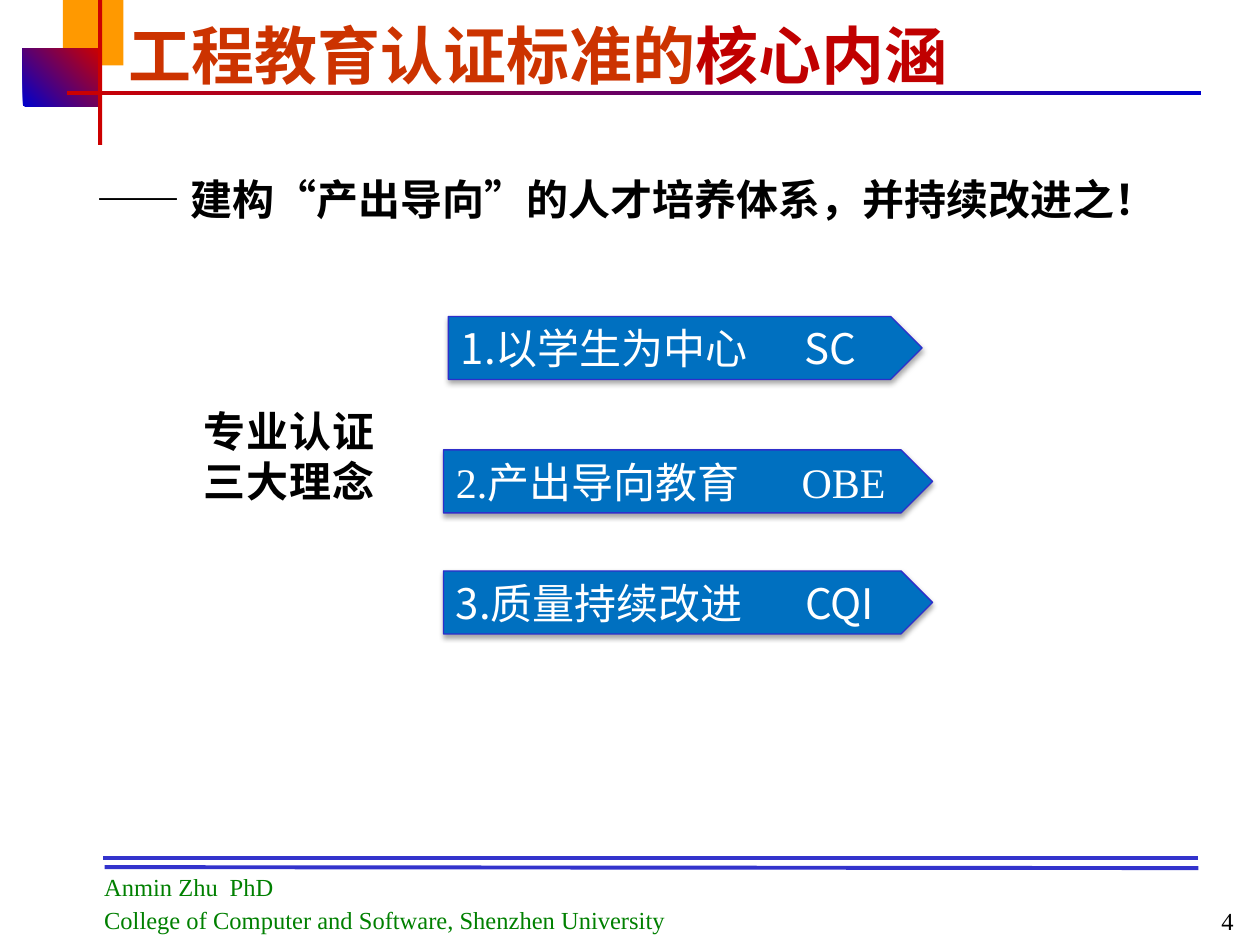
import lxml.etree
import pptx
import pptx.dml.color
import pptx.enum.shapes
import pptx.enum.text
import pptx.oxml.ns
import pptx.util

Cm = pptx.util.Cm
SHAPES = pptx.enum.shapes.MSO_SHAPE
ANCHOR = pptx.enum.text.MSO_ANCHOR
ALIGN = pptx.enum.text.PP_ALIGN
GROW = pptx.enum.text.MSO_AUTO_SIZE.SHAPE_TO_FIT_TEXT
CHINESE = "Noto Sans CJK SC"
SERIF = "Times New Roman"


def color(value):
    return pptx.dml.color.RGBColor.from_string(value)


def add_element(parent, tag, **attributes):
    element = lxml.etree.SubElement(parent, pptx.oxml.ns.qn(tag))
    for name, value in attributes.items():
        element.set(name, str(value))
    return element


def apply(target, formats):
    for name, value in formats.items():
        setattr(target, name, value)


def write(shape, paragraphs, size, font, frame_format, paragraph_format=None,
          bold=False, tab=None, spacing=None):
    frame = shape.text_frame
    apply(frame, {"word_wrap": True, **frame_format})
    for index, runs in enumerate(paragraphs):
        paragraph = frame.paragraphs[0] if index == 0 else frame.add_paragraph()
        if tab:
            tabs = add_element(paragraph._p.get_or_add_pPr(), "a:tabLst")
            add_element(tabs, "a:tab", pos=Cm(tab), algn="l")
        apply(paragraph, {"alignment": ALIGN.LEFT, **(paragraph_format or {})})
        for text, ink in runs:
            run = paragraph.add_run()
            run.text = text
            apply(run.font, {"size": pptx.util.Pt(size), "name": font, "bold": bold})
            run.font.color.rgb = color(ink)
            properties = run._r.get_or_add_rPr()
            add_element(properties, "a:ea", typeface=CHINESE)
            if spacing:
                properties.set("spc", str(spacing))


def add_text(slide, left, top, width, height, *content, **options):
    box = slide.shapes.add_textbox(Cm(left), Cm(top), Cm(width), Cm(height))
    write(box, *content, **options)


def add_block(slide, kind, left, top, width, height, fills, angle=0):
    shape = slide.shapes.add_shape(kind, Cm(left), Cm(top), Cm(width), Cm(height))
    shape.shadow.inherit = False
    shape.line.fill.background()
    if len(fills) == 1:
        shape.fill.solid()
        shape.fill.fore_color.rgb = color(fills[0])
    else:
        shape.fill.gradient()
        shape.fill.gradient_angle = angle
        for stop, value in zip(shape.fill.gradient_stops, fills):
            stop.color.rgb = color(value)
    return shape


def add_header(slide, left, top):
    blocks = [
        (1.27, 0, 1.22, 1.32, ["FF9900"], 0),
        (0.46, 0.97, 1.55, 1.17, ["0000CC", "CC0000"], 45),
        (1.35, 1.83, 22.86, 0.08, ["CC0000", "0000CC"], 0),
        (1.98, 0, 0.08, 2.92, ["CC0000"], 0),
    ]
    for x, y, width, height, fills, angle in blocks:
        add_block(slide, SHAPES.RECTANGLE, left + x, top + y, width, height, fills, angle)
    title = [[("工程教育认证标准的", "CC3300"), ("核心内涵", "C00000")]]
    add_text(slide, left + 2.34, top + 0.3, 20.52, 1.68, title, 36, CHINESE,
             {"vertical_anchor": ANCHOR.BOTTOM}, bold=True)


def add_subtitle(slide, left, top, width, height):
    text = "—— 建构“产出导向”的人才培养体系，并持续改进之！"
    add_text(slide, left, top, width, height, [[(text, "000000")]], 24, CHINESE,
             {"auto_size": GROW}, {"line_spacing": 1.3}, bold=True)


def add_idea(slide, left, top, width, text, font, tab):
    arrow = add_block(slide, SHAPES.PENTAGON, left, top, width, 1.27, ["0070C0"])
    arrow.line.color.rgb = color("2E2ECB")
    arrow.line.width = pptx.util.Pt(0.75)
    effects = arrow._element.spPr.find(pptx.oxml.ns.qn("a:effectLst"))
    shadow = add_element(effects, "a:outerShdw", blurRad=pptx.util.Pt(3.1),
                         dist=pptx.util.Pt(1.8), dir=90 * 60000, rotWithShape=0)
    shade = add_element(shadow, "a:srgbClr", val="000000")
    add_element(shade, "a:alpha", val=35000)
    write(arrow, [[(text, "FFFFFF")]], 24, font,
          {"vertical_anchor": ANCHOR.MIDDLE, "auto_size": GROW}, tab=tab)


def add_ideas(slide, left, top):
    add_text(slide, left, top + 1.67, 4.01, 2.31, [[("专业认证三大理念", "000000")]],
             24, "Arial", {"auto_size": GROW}, bold=True, spacing=50)
    ideas = [
        (5.18, 0, 9.55, "1.以学生为中心\tSC", CHINESE, 6.93),
        (5.08, 2.69, 9.86, "2.产出导向教育\tOBE", SERIF, 6.97),
        (5.08, 5.13, 9.86, "3.质量持续改进\tCQI", CHINESE, 7.04),
    ]
    for x, y, width, text, font, tab in ideas:
        add_idea(slide, left + x, top + y, width, text, font, tab)


def add_footer(slide, left, top):
    for x, start, end in [(0.23, 0, 0), (0.26, 0.18, 0.2)]:
        rule = slide.shapes.add_connector(
            pptx.enum.shapes.MSO_CONNECTOR.STRAIGHT,
            Cm(left + x), Cm(top + start), Cm(left + 22.31), Cm(top + end))
        rule.line.color.rgb = color("3333CC")
        rule.line.width = pptx.util.Pt(2.25)
        add_element(rule._element.spPr, "a:effectLst")
    author = [[("Anmin Zhu\tPhD", "008000")],
              [("College of Computer and Software, Shenzhen University", "008000")]]
    add_text(slide, left, top + 0.1, 13.16, 1.57, author, 14, SERIF,
             {"auto_size": GROW}, {"line_spacing": 1.1}, tab=2.53)
    add_text(slide, left + 17.99, top + 0.63, 5.28, 1.27, [[("4", "000000")]], 14, SERIF,
             {"vertical_anchor": ANCHOR.MIDDLE}, {"alignment": ALIGN.RIGHT})


def main():
    presentation = pptx.Presentation()
    apply(presentation, {"slide_width": Cm(25.4), "slide_height": Cm(19.05)})
    slide = presentation.slides.add_slide(presentation.slide_layouts[6])
    add_header(slide, 0, 0)
    add_footer(slide, 1.85, 17.3)
    add_subtitle(slide, 1.7, 3.07, 22.56, 1.6)
    add_ideas(slide, 3.86, 6.38)
    presentation.save("out.pptx")


if __name__ == "__main__":
    main()
